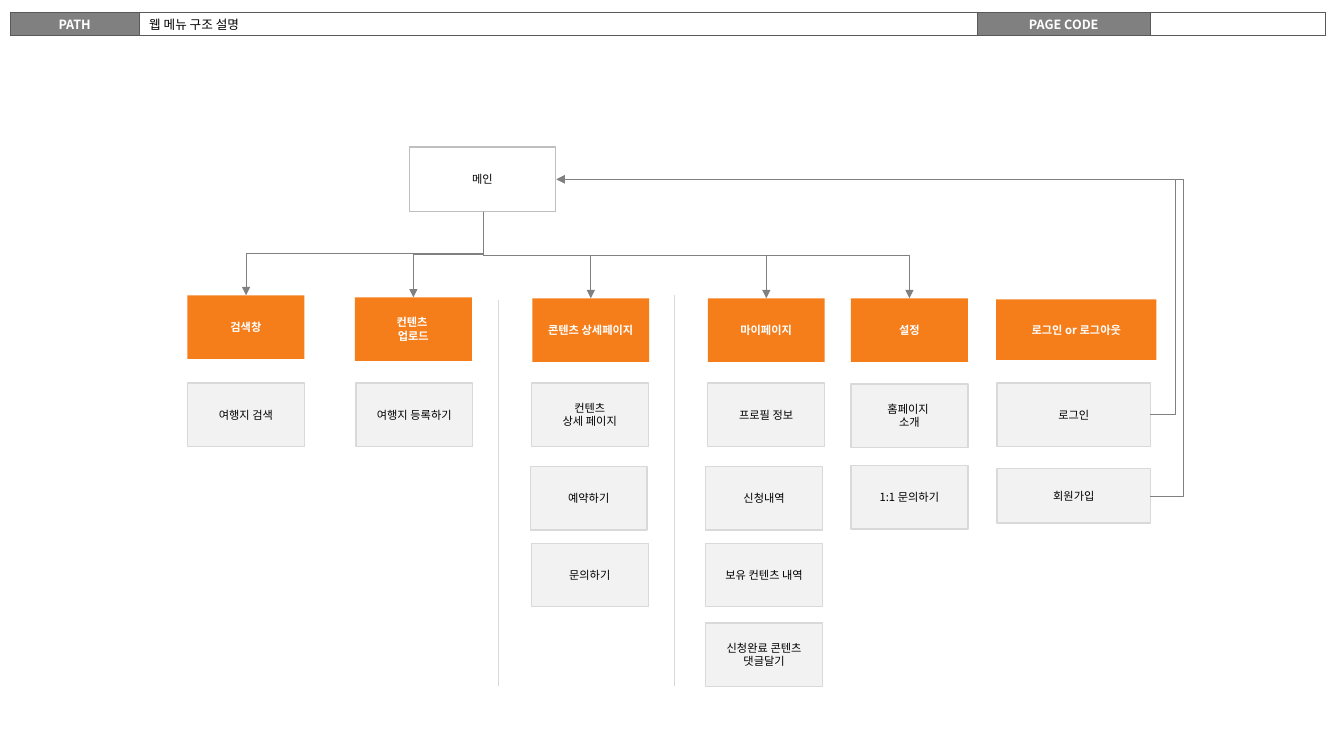
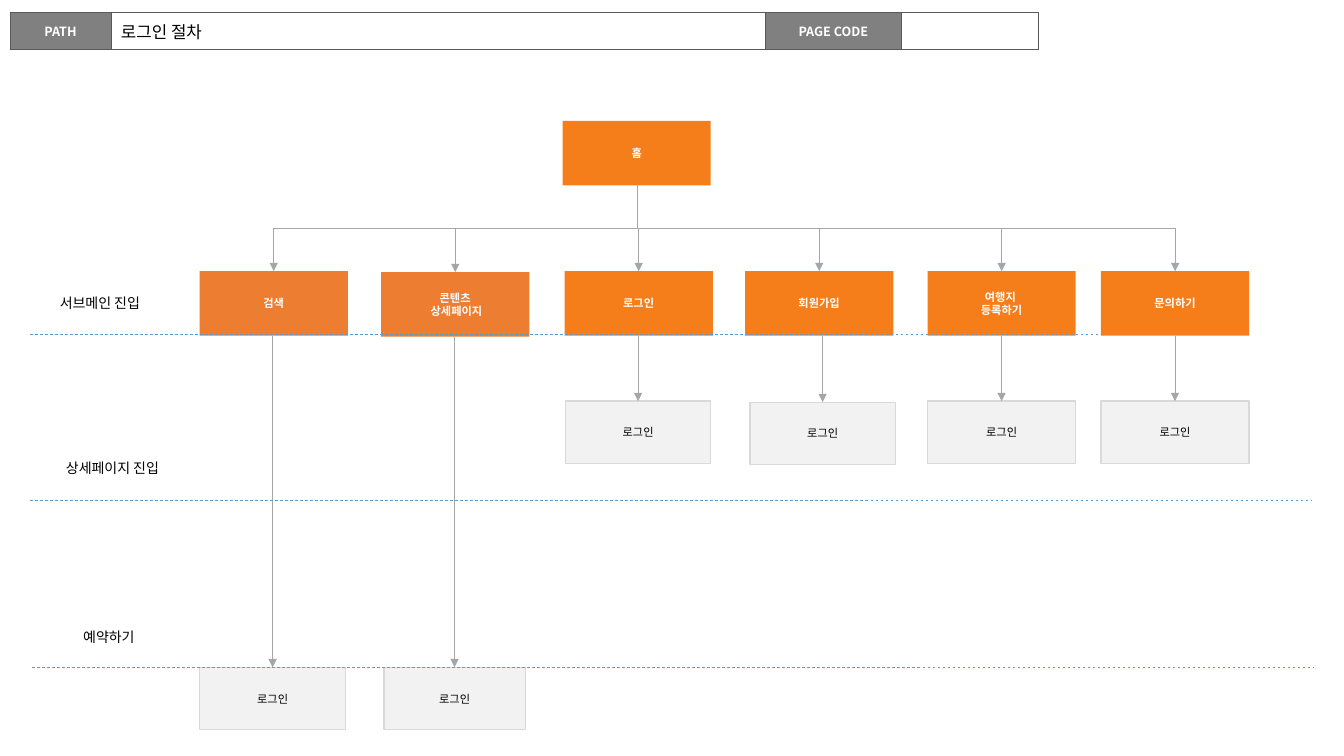
from dataclasses import dataclass
from lxml import etree
from pptx import Presentation
from pptx.dml.color import RGBColor
from pptx.enum.dml import MSO_LINE
from pptx.enum.shapes import MSO_CONNECTOR as Link, MSO_SHAPE as Shape
from pptx.enum.text import MSO_ANCHOR as Anchor, MSO_AUTO_SIZE as AutoSize, PP_ALIGN as Align
from pptx.oxml.ns import qn
from pptx.util import Inches, Pt


@dataclass(frozen=True)
class Theme:
    font: str = "Noto Sans CJK KR"
    white: str = "FFFFFF"
    black: str = "000000"
    orange: str = "F57E1B"
    rust: str = "ED7D31"
    pale: str = "F2F2F2"
    pale_edge: str = "D9D9D9"
    main_edge: str = "BFBFBF"
    band: str = "808080"
    band_edge: str = "595959"
    flow: str = "A6A6A6"
    level: str = "5B9BD5"
    box_size: int = 8
    band_size: int = 9
    level_size: int = 10
    title_size: int = 12


theme = Theme()
color = RGBColor.from_string


def write(frame, text, size, ink, bold=False, align=Align.CENTER):
    frame.text = text
    for para in frame.paragraphs:
        para.alignment = align
        para.font.name = theme.font
        para.font.size = Pt(size)
        para.font.bold = bold
        para.font.color.rgb = color(ink)
        default = para._p.pPr.find(qn("a:defRPr"))
        etree.SubElement(default, qn("a:ea"), typeface=theme.font)
        if not text:
            etree.SubElement(para._p, qn("a:endParaRPr"), sz=str(size * 100))


def connect(page, kind, start, end, ink, arrow=False, downward=False, bend=None):
    (x1, y1), (x2, y2) = start, end
    if downward:
        middle_x, middle_y = (x1 + x2) / 2, (y1 + y2) / 2
        half_run, half_rise = (y2 - y1) / 2, abs(x2 - x1) / 2
        x1, x2 = middle_x - half_run, middle_x + half_run
        y1, y2 = middle_y - half_rise, middle_y + half_rise
    line = page.shapes.add_connector(kind, Inches(x1), Inches(y1), Inches(x2), Inches(y2))
    line.line.color.rgb = color(ink)
    line.line.width = Pt(0.5)
    properties = line._element.spPr
    if downward:
        frame = properties.find(qn("a:xfrm"))
        if end[0] < start[0]:
            frame.set("rot", "5400000")
        else:
            frame.set("rot", "16200000")
            frame.set("flipH", "1")
    if bend is not None:
        guides = properties.find(qn("a:prstGeom")).find(qn("a:avLst"))
        etree.SubElement(guides, qn("a:gd"), name="adj1", fmla=f"val {round(bend * 100000)}")
    if arrow:
        etree.SubElement(properties.find(qn("a:ln")), qn("a:tailEnd"), type="triangle")
    etree.SubElement(properties, qn("a:effectLst"))
    return line


box_styles = {
    "main": (theme.white, theme.main_edge, theme.black),
    "menu": (theme.orange, None, theme.white),
    "booking": (theme.rust, None, theme.white),
    "item": (theme.pale, theme.pale_edge, theme.black),
}

menu_columns = [
    (1.86, 2.93, "검색창", [(1.86, 3.8, "여행지 검색")]),
    (3.52, 2.95, "컨텐츠 \n업로드", [(3.53, 3.8, "여행지 등록하기")]),
    (5.28, 2.96, "콘텐츠 상세페이지", [
        (5.27, 3.8, "컨텐츠\n상세 페이지"),
        (5.26, 4.63, "예약하기"),
        (5.27, 5.39, "문의하기"),
    ]),
    (7.02, 2.96, "마이페이지", [
        (7.02, 3.8, "프로필 정보"),
        (7, 4.63, "신청내역"),
        (7, 5.39, "보유 컨텐츠 내역"),
        (7, 6.18, "신청완료 콘텐츠\v댓글달기"),
    ]),
    (8.44, 2.96, "설정", [(8.44, 3.81, "홈페이지 \n소개"), (8.44, 4.62, "1:1 문의하기")]),
]
menu_width, menu_height = 1.16, 0.63
menu_boxes = [
    ("main", 4.06, 1.46, 1.45, 0.64, "메인"),
    ("menu", 9.88, 2.97, 1.59, 0.6, "로그인 or 로그아웃"),
    ("item", 9.89, 3.8, 1.52, 0.63, "로그인"),
    ("item", 9.89, 4.65, 1.52, 0.54, "회원가입"),
]
menu_drops = []
for left, top, label, items in menu_columns:
    menu_boxes.append(("menu", left, top, menu_width, menu_height, label))
    menu_drops.append(((4.79, 2.1), (left + menu_width / 2, top)))
    for item_left, item_top, item_label in items:
        menu_boxes.append(("item", item_left, item_top, menu_width, menu_height, item_label))

login_branches = [
    ("booking", 1.98, 2.69, "검색", 1.98, 6.62, 1.45),
    ("booking", 3.78, 2.7, "콘텐츠\n 상세페이지", 3.81, 6.62, 1.4),
    ("menu", 5.6, 2.69, "로그인", 5.61, 3.98, 1.44),
    ("menu", 7.39, 2.69, "회원가입", 7.44, 3.99, 1.44),
    ("menu", 9.2, 2.69, "여행지 \n등록하기", 9.2, 3.98, 1.47),
    ("menu", 10.92, 2.69, "문의하기", 10.92, 3.98, 1.47),
]
branch_width, branch_height = 1.47, 0.64
login_boxes = [("menu", 5.58, 1.2, branch_width, branch_height, "홈")]
login_drops = []
for style, left, top, label, login_left, login_top, login_width in login_branches:
    login_boxes.append((style, left, top, branch_width, branch_height, label))
    login_boxes.append(("item", login_left, login_top, login_width, 0.62, "로그인"))
    login_drops.append(((6.32, 1.84), (left + branch_width / 2, top)))
    center = login_left + login_width / 2
    login_drops.append(((center, top + branch_height), (center, login_top)))

deck = Presentation()
deck.slide_width = Inches(13.33)
deck.slide_height = Inches(7.5)
pages = []
page_plans = [
    ("웹 메뉴 구조 설명", theme.band_size, [1.28, 8.31, 1.72, 1.74], 0.23, menu_boxes, menu_drops, theme.band),
    ("로그인 절차", theme.title_size, [1, 6.49, 1.35, 1.36], 0.37, login_boxes, login_drops, theme.flow),
]
for title, title_size, widths, band_height, boxes, drops, drop_color in page_plans:
    page = deck.slides.add_slide(deck.slide_layouts[6])
    pages.append(page)

    header = page.shapes.add_table(
        1, 4, Inches(0.1), Inches(0.12), Inches(sum(widths)), Inches(band_height)
    ).table
    header.first_row = False
    header.horz_banding = False
    header.rows[0].height = Inches(band_height)
    for index, text in enumerate(["PATH", title, "PAGE CODE", ""]):
        header.columns[index].width = Inches(widths[index])
        cell = header.cell(0, index)
        cell.vertical_anchor = Anchor.MIDDLE
        cell.margin_left = cell.margin_right = Inches(0.1)
        cell.margin_top = cell.margin_bottom = 0
        for side in ("lnL", "lnR", "lnT", "lnB"):
            edge = etree.SubElement(cell._tc.get_or_add_tcPr(), qn(f"a:{side}"), w=str(Pt(0.5)))
            paint = etree.SubElement(edge, qn("a:solidFill"))
            etree.SubElement(paint, qn("a:srgbClr"), val=theme.band_edge)
        is_label = index % 2 == 0
        cell.fill.solid()
        cell.fill.fore_color.rgb = color(theme.band if is_label else theme.white)
        write(
            cell.text_frame, text,
            title_size if index == 1 else theme.band_size,
            theme.white if is_label else theme.black,
            is_label, Align.CENTER if is_label else Align.LEFT,
        )

    for style, left, top, width, height, label in boxes:
        fill, edge, ink = box_styles[style]
        box = page.shapes.add_shape(
            Shape.RECTANGLE, Inches(left), Inches(top), Inches(width), Inches(height)
        )
        box.shadow.inherit = False
        box.fill.solid()
        box.fill.fore_color.rgb = color(fill)
        if edge:
            box.line.color.rgb = color(edge)
            box.line.width = Pt(1)
        else:
            box.line.fill.background()
        box.text_frame.vertical_anchor = Anchor.MIDDLE
        write(box.text_frame, label, theme.box_size, ink, bold=edge is None)

    for start, end in drops:
        connect(page, Link.ELBOW, start, end, drop_color, arrow=True, downward=True)

menu_page, login_page = pages

for x, top in [(4.94, 2.98), (6.69, 2.93)]:
    connect(menu_page, Link.STRAIGHT, (x, top), (x, 6.81), theme.pale_edge)
for y, bend in [(4.11, -0.042), (4.92, -0.055)]:
    connect(menu_page, Link.ELBOW, (11.41, y), (5.52, 1.78), theme.band, arrow=True, bend=bend)

levels = [
    ("서브메인 진입", 0.1, 2.87, 1.78, 0.44, 0.3, 10.92, 3.32),
    ("상세페이지 진입", 0.11, 4.51, 2.01, 0.44, 0.3, 13, 4.96),
    ("예약하기", 0.7, 6.19, 0.76, 0.27, 0.32, 13.02, 6.62),
]
for label, left, top, width, height, line_left, line_right, line_y in levels:
    box = login_page.shapes.add_textbox(Inches(left), Inches(top), Inches(width), Inches(height))
    box.text_frame.word_wrap = False
    box.text_frame.auto_size = AutoSize.SHAPE_TO_FIT_TEXT
    write(box.text_frame, label, theme.level_size, theme.black)
    rule = connect(login_page, Link.STRAIGHT, (line_left, line_y), (line_right, line_y), theme.level)
    rule.line.dash_style = MSO_LINE.DASH

deck.save("out.pptx")
